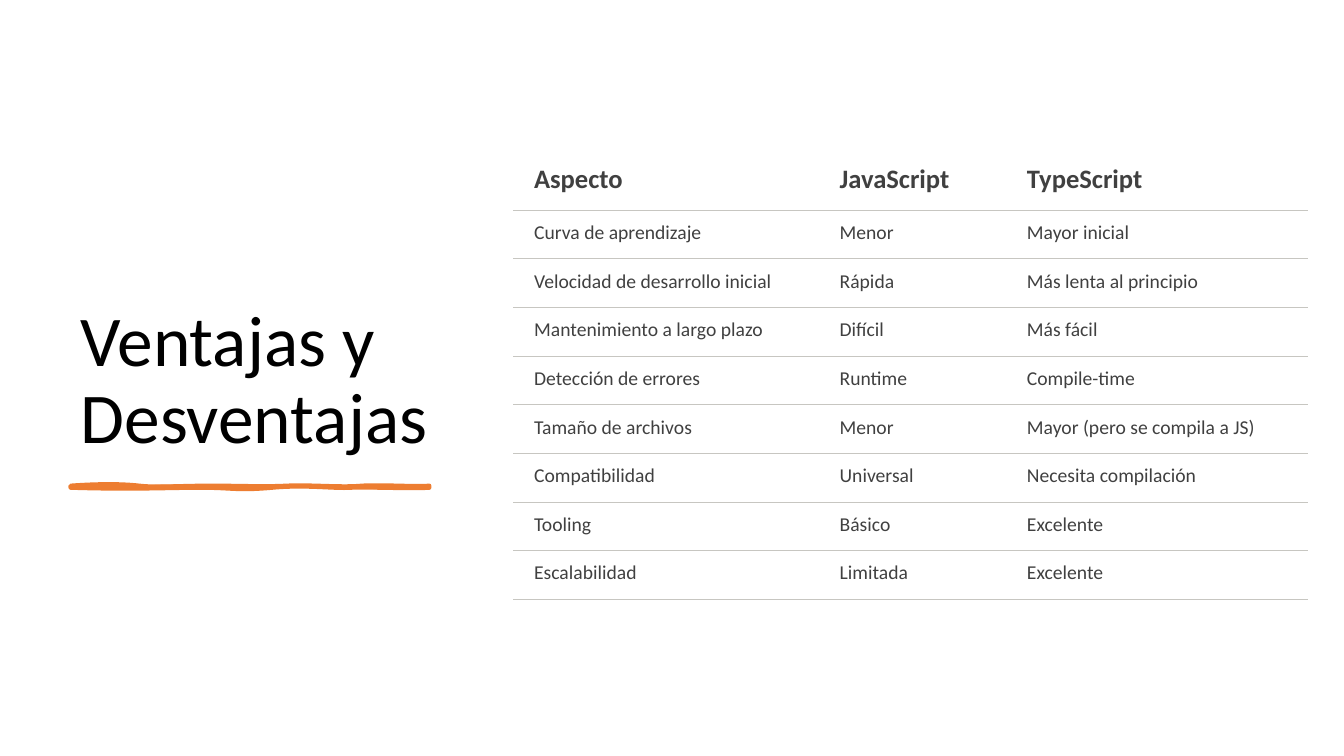
from dataclasses import dataclass

from lxml.etree import SubElement
from pptx import Presentation
from pptx.dml.color import RGBColor
from pptx.enum.text import MSO_ANCHOR, MSO_AUTO_SIZE, PP_ALIGN
from pptx.oxml.ns import qn
from pptx.shapes.autoshape import Shape
from pptx.slide import Slide
from pptx.table import _Cell as Cell
from pptx.text.text import _Paragraph as Paragraph
from pptx.util import Cm, Pt

FONT = "Calibri"
BLACK, GRAY, RULE, ORANGE = "000000", "404040", "C7C6C1", "ED7D31"

Point = tuple[float, float]
Curve = tuple[Point, Point, Point]


@dataclass(frozen=True)
class TextStyle:
    size: float
    color: str
    bold: bool = False


@dataclass(frozen=True)
class BrushStroke:
    """Closed outline in cm: curves along the top from (0, 0), then back below."""
    paint: dict[str, str]
    top: tuple[Curve, ...]
    bottom: tuple[Curve, ...]


@dataclass(frozen=True)
class Comparison:
    aspect: str
    javascript: str
    typescript: str


TITLE_STYLE = TextStyle(51, BLACK)
HEADER_STYLE = TextStyle(19, GRAY, bold=True)
BODY_STYLE = TextStyle(14, GRAY)

HEADER = Comparison("Aspecto", "JavaScript", "TypeScript")
COMPARISONS = [
    Comparison("Curva de aprendizaje", "Menor", "Mayor inicial"),
    Comparison("Velocidad de desarrollo inicial", "Rápida", "Más lenta al principio"),
    Comparison("Mantenimiento a largo plazo", "Difícil", "Más fácil"),
    Comparison("Detección de errores", "Runtime", "Compile-time"),
    Comparison("Tamaño de archivos", "Menor", "Mayor (pero se compila a JS)"),
    Comparison("Compatibilidad", "Universal", "Necesita compilación"),
    Comparison("Tooling", "Básico", "Excelente"),
    Comparison("Escalabilidad", "Limitada", "Excelente"),
]
COLUMN_WIDTHS = (7.7, 4.72, 7.62)
TABLE_HEIGHT, HEADER_HEIGHT = 11.25, 1.45

UNDERLINE_LEFT, UNDERLINE_TOP = 1.78, 12.24
UNDERLINE_LENGTH, UNDERLINE_THICKNESS = 9.04, 0.05
STROKES = [
    BrushStroke(
        paint={"fill": "none"},
        top=(
            ((0.69, -0.05), (1.3, -0.05), (1.73, 0)),
            ((2.16, 0.05), (2.72, 0), (3.53, 0)),
            ((4.34, 0), (4.83, 0.03), (5.44, 0)),
            ((6.05, -0.03), (6.83, 0.05), (7.34, 0)),
            ((7.85, -0.03), (8.69, 0.03), (9.04, 0)),
        ),
        bottom=(
            ((8.59, 0.08), (7.47, 0.03), (7.06, 0.05)),
            ((6.65, 0.08), (5.94, -0.03), (5.08, 0.05)),
            ((4.19, 0.13), (4.09, 0.05), (3.28, 0.05)),
            ((2.44, 0.05), (1.57, 0.1), (0, 0.05)),
        ),
    ),
    BrushStroke(
        paint={"stroke": "0"},
        top=(
            ((0.81, 0.05), (1.02, 0.03), (1.73, 0)),
            ((2.44, -0.03), (2.51, -0.05), (3.28, 0)),
            ((4.01, 0.05), (4.85, 0.03), (5.26, 0)),
            ((5.66, -0.03), (6.53, 0.08), (6.96, 0)),
            ((7.42, -0.05), (8.31, 0.1), (9.04, 0)),
        ),
        bottom=(
            ((8.69, 0.05), (7.67, 0.13), (7.24, 0.05)),
            ((6.81, 0), (6.07, 0.05), (5.26, 0.05)),
            ((4.42, 0.05), (4.32, 0.03), (3.71, 0.05)),
            ((3.12, 0.08), (2.77, 0.03), (1.9, 0.05)),
            ((1.04, 0.08), (0.56, 0.05), (0, 0.05)),
        ),
    ),
]


def rgb(color: str) -> RGBColor:
    return RGBColor.from_string(color)


def add_run(paragraph: Paragraph, text: str, style: TextStyle) -> None:
    run = paragraph.add_run()
    run.text = text
    run.font.name = FONT
    run.font.size = Pt(style.size)
    run.font.bold = style.bold
    run.font.color.rgb = rgb(style.color)


def place_title(title: Shape) -> None:
    title.left, title.top = Cm(1.78), Cm(1.76)
    title.width, title.height = Cm(9.93), Cm(9.93)
    frame = title.text_frame
    frame.word_wrap = True
    frame.auto_size = MSO_AUTO_SIZE.NONE
    frame.vertical_anchor = MSO_ANCHOR.BOTTOM
    paragraph = frame.paragraphs[0]
    paragraph.alignment = PP_ALIGN.LEFT
    paragraph.line_spacing = 0.9
    add_run(paragraph, "Ventajas y Desventajas", TITLE_STYLE)


def draw_stroke(outlines, stroke: BrushStroke) -> None:
    """Append the stroke to a path list as cubic Bézier curves."""
    outline = SubElement(outlines, qn("a:path"), w=str(Cm(UNDERLINE_LENGTH)),
                         h=str(Cm(UNDERLINE_THICKNESS)), **stroke.paint)

    def draw(command: str, *points: Point) -> None:
        segment = SubElement(outline, qn(f"a:{command}"))
        for x, y in points:
            SubElement(segment, qn("a:pt"), x=str(Cm(x)), y=str(Cm(y)))

    draw("moveTo", (0, 0))
    for curve in stroke.top:
        draw("cubicBezTo", *curve)
    draw("lnTo", (UNDERLINE_LENGTH, UNDERLINE_THICKNESS))
    for curve in stroke.bottom:
        draw("cubicBezTo", *curve)
    draw("close")


def add_underline(slide: Slide) -> None:
    left, top = Cm(UNDERLINE_LEFT), Cm(UNDERLINE_TOP)
    right, bottom = left + Cm(UNDERLINE_LENGTH), top + Cm(UNDERLINE_THICKNESS)
    builder = slide.shapes.build_freeform(left, top)
    builder.add_line_segments([(right, top), (right, bottom), (left, bottom)])
    underline = builder.convert_to_shape()
    outlines = underline._element.spPr.find(f".//{qn('a:pathLst')}")
    outlines.remove(outlines[0])
    for stroke in STROKES:
        draw_stroke(outlines, stroke)
    underline.shadow.inherit = False
    underline.fill.solid()
    underline.fill.fore_color.rgb = rgb(ORANGE)
    underline.line.color.rgb = rgb(ORANGE)
    underline.line.width = Pt(3)


def set_borders(cell: Cell, ruled_sides: str) -> None:
    """Rule the sides named by the letters L, R, T and B; clear the others."""
    properties = cell._tc.get_or_add_tcPr()
    for index, side in enumerate("LRTB"):
        border = properties.makeelement(qn(f"a:ln{side}"), {"w": str(Pt(0.75))})
        properties.insert(index, border)
        if side in ruled_sides:
            fill = SubElement(border, qn("a:solidFill"))
            SubElement(fill, qn("a:srgbClr"), val=RULE)
        else:
            SubElement(border, qn("a:noFill"))


def fill_cell(cell: Cell, text: str, style: TextStyle, ruled_sides: str) -> None:
    cell.margin_left, cell.margin_right = Cm(0.53), Cm(0.4)
    cell.margin_top = cell.margin_bottom = Cm(0.27)
    cell.fill.background()
    set_borders(cell, ruled_sides)
    add_run(cell.text_frame.paragraphs[0], text, style)


def add_comparison_table(slide: Slide) -> None:
    lines = [HEADER, *COMPARISONS]
    table = slide.shapes.add_table(
        len(lines), len(COLUMN_WIDTHS), Cm(12.93), Cm(3.85),
        Cm(sum(COLUMN_WIDTHS)), Cm(TABLE_HEIGHT)).table
    table.horz_banding = False
    for column, width in zip(table.columns, COLUMN_WIDTHS):
        column.width = Cm(width)
    body_height = (TABLE_HEIGHT - HEADER_HEIGHT) / len(COMPARISONS)
    for row, line in zip(table.rows, lines):
        is_header = line is HEADER
        row.height = Cm(HEADER_HEIGHT if is_header else body_height)
        style, ruled_sides = (HEADER_STYLE, "B") if is_header else (BODY_STYLE, "TB")
        for cell, text in zip(row.cells, (line.aspect, line.javascript, line.typescript)):
            fill_cell(cell, text, style, ruled_sides)


def main() -> None:
    deck = Presentation()
    deck.slide_width, deck.slide_height = Cm(33.87), Cm(19.05)
    slide = deck.slides.add_slide(deck.slide_layouts.get_by_name("Title Only"))
    place_title(slide.shapes.title)
    add_underline(slide)
    add_comparison_table(slide)
    deck.save("out.pptx")


if __name__ == "__main__":
    main()
